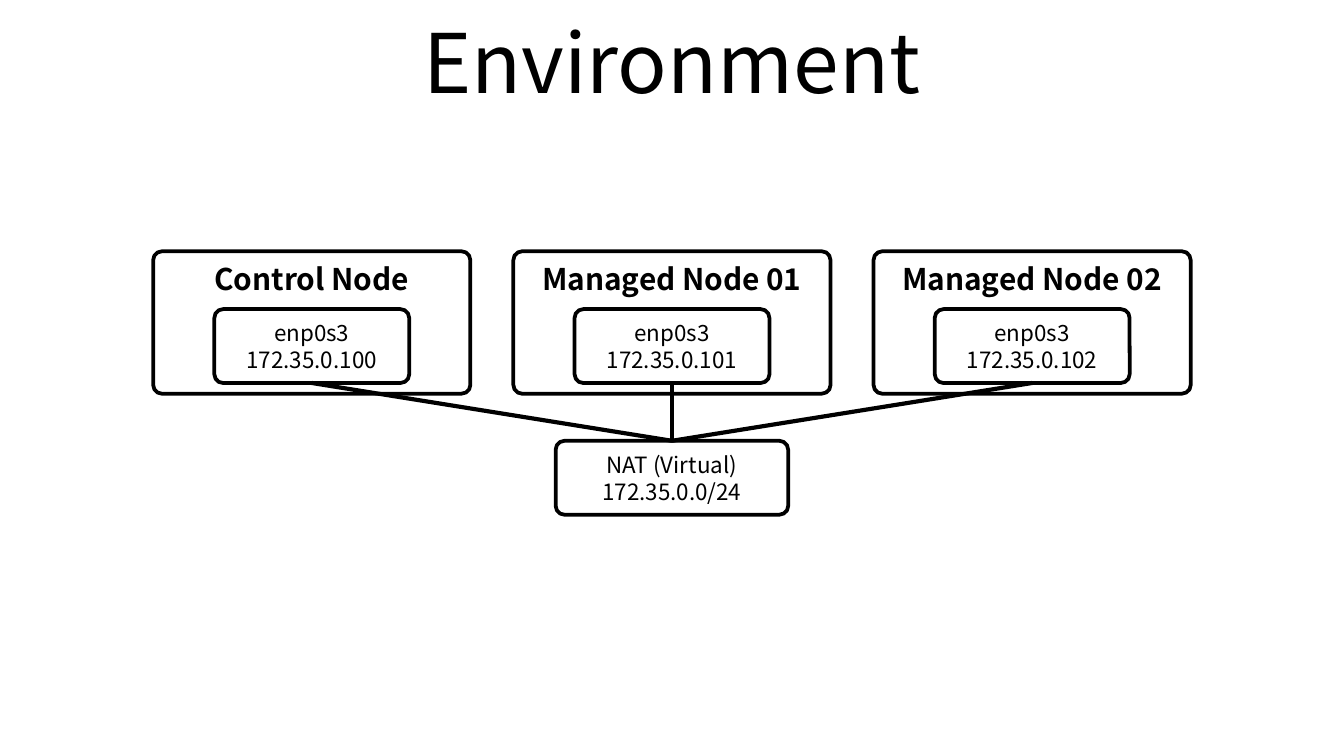
from dataclasses import dataclass

from lxml import etree
from pptx import Presentation
from pptx.dml.color import RGBColor
from pptx.enum.shapes import MSO_CONNECTOR, MSO_SHAPE
from pptx.enum.text import MSO_ANCHOR, PP_ALIGN
from pptx.oxml.ns import qn
from pptx.util import Inches, Pt

ROUNDED = MSO_SHAPE.ROUNDED_RECTANGLE
STRAIGHT = MSO_CONNECTOR.STRAIGHT
TOP, MIDDLE = MSO_ANCHOR.TOP, MSO_ANCHOR.MIDDLE
CENTER = PP_ALIGN.CENTER


@dataclass(frozen=True)
class Theme:
    font: str = "Noto Sans CJK KR"
    ink: RGBColor = RGBColor(0, 0, 0)
    title_size: float = 44
    node_size: float = 16
    label_size: float = 12
    border: float = 2
    link: float = 2.25
    corner: float = 0.065


def write_text(frame, lines, *, theme, size, bold=False, anchor=MIDDLE):
    frame.word_wrap = True
    frame.vertical_anchor = anchor
    for index, line in enumerate(lines):
        paragraph = frame.add_paragraph() if index else frame.paragraphs[0]
        paragraph.text = line
        paragraph.alignment = CENTER
        font = paragraph.font
        font.name = theme.font
        font.size = Pt(size)
        font.bold = bold
        font.color.rgb = theme.ink


class Diagram:
    """Draws styled elements on one slide."""

    def __init__(self, slide, theme):
        self.shapes = slide.shapes
        self.theme = theme

    def title(self, text, left, top, width, height):
        box = self.shapes.add_textbox(*map(Inches, (left, top, width, height)))
        write_text(box.text_frame, [text], theme=self.theme,
                   size=self.theme.title_size)

    def box(self, left, top, width, height, lines, **text_format):
        shape = self.shapes.add_shape(
            ROUNDED, *map(Inches, (left, top, width, height)))
        shape.adjustments[0] = self.theme.corner / min(width, height)
        shape.shadow.inherit = False
        shape.fill.background()
        shape.line.color.rgb = self.theme.ink
        shape.line.width = Pt(self.theme.border)
        write_text(shape.text_frame, lines, theme=self.theme, **text_format)

    def node(self, left, top, width, height, name):
        self.box(left, top, width, height, [name], size=self.theme.node_size,
                 bold=True, anchor=TOP)

    def endpoint(self, center, top, width, height, lines):
        """Draws a network interface or network, centred on an x position."""
        self.box(center - width / 2, top, width, height, lines,
                 size=self.theme.label_size)

    def link(self, x1, y1, x2, y2):
        line = self.shapes.add_connector(
            STRAIGHT, *map(Inches, (x1, y1, x2, y2)))
        line.line.color.rgb = self.theme.ink
        line.line.width = Pt(self.theme.link)
        etree.SubElement(line._element.spPr, qn("a:effectLst"))


def main():
    presentation = Presentation()
    presentation.slide_width = Inches(10)
    presentation.slide_height = presentation.slide_width * 9 // 16
    slide = presentation.slides.add_slide(presentation.slide_layouts[6])
    diagram = Diagram(slide, Theme())

    diagram.title("Environment", 0.5, -0.02, 9, 0.94)

    nodes = [
        ("Control Node", "172.35.0.100"),
        ("Managed Node 01", "172.35.0.101"),
        ("Managed Node 02", "172.35.0.102"),
    ]
    middle, node_pitch, node_width = 5, 2.68, 2.36
    interface_top, endpoint_height, network_top = 2.3, 0.55, 3.28

    for index, (name, address) in enumerate(nodes):
        center = middle + (index - 1) * node_pitch
        diagram.node(center - node_width / 2, 1.87, node_width, 1.06, name)
        diagram.endpoint(center, interface_top, 1.45, endpoint_height,
                         ["enp0s3", address])
        diagram.link(center, interface_top + endpoint_height, middle, network_top)

    diagram.endpoint(middle, network_top, 1.73, endpoint_height,
                     ["NAT (Virtual)", "172.35.0.0/24"])

    presentation.save("out.pptx")


if __name__ == "__main__":
    main()
